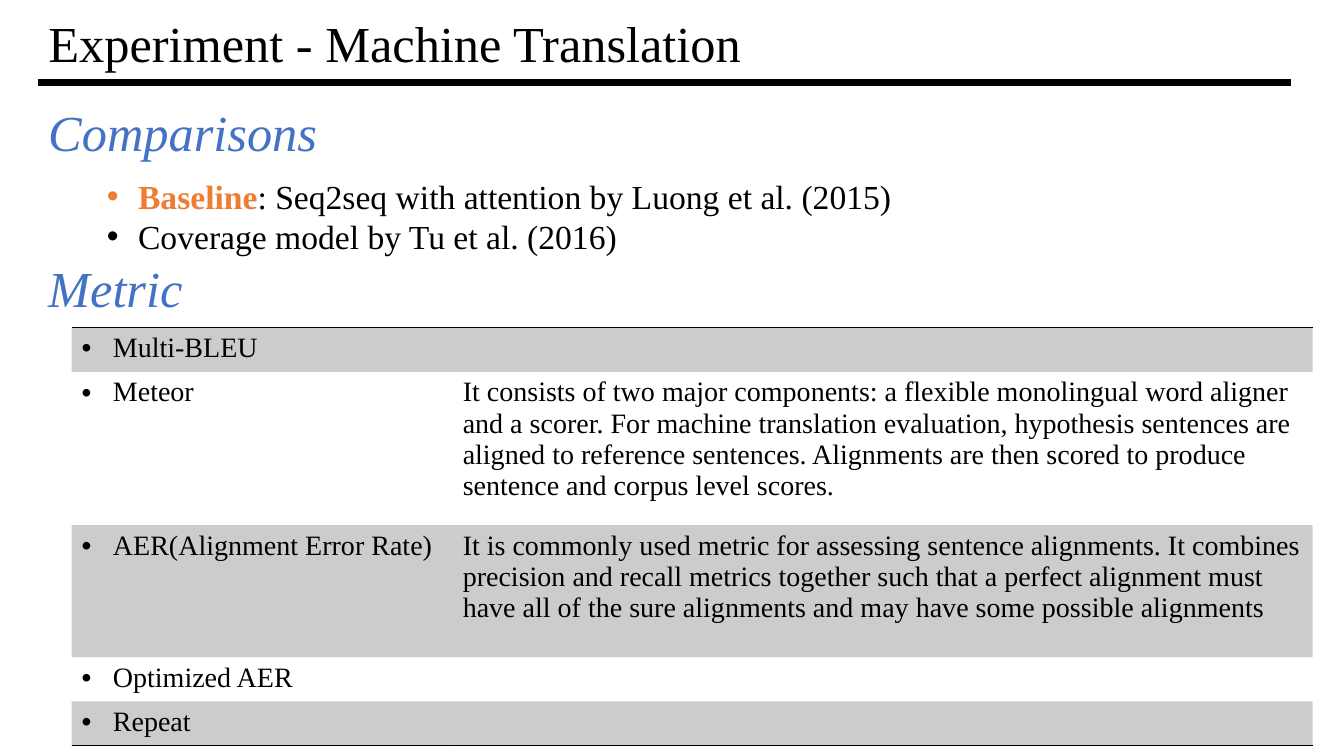
from dataclasses import dataclass

from lxml import etree
from pptx import Presentation
from pptx import util as u
from pptx.dml.color import RGBColor
from pptx.enum import shapes, text
from pptx.oxml import ns

FONT = "Times New Roman"
BLACK = RGBColor(0x00, 0x00, 0x00)
BLUE = RGBColor(0x44, 0x72, 0xC4)
ORANGE = RGBColor(0xED, 0x7D, 0x31)
NO_STYLE = "{2D5ABB26-0587-4C30-8999-92F81FD0307C}"
INDENT = u.Inches(0.31)


@dataclass
class Heading:
    text: str
    top: float
    width: float


@dataclass
class Row:
    height: float
    metric: str = ""
    description: str = ""
    shaded: bool = False
    ruled: bool = False


HEADINGS = [Heading("Metric", 2.5, 1.55), Heading("Comparisons", 0.95, 2.89)]
COLUMNS = [3.78, 8.53]
ROWS = [
    Row(0.44, ruled=True),
    Row(0.44, "Multi-BLEU", shaded=True),
    Row(1.52, "Meteor",
        "It consists of two major components: a flexible monolingual word aligner and a scorer. "
        "For machine translation evaluation, hypothesis sentences are aligned to reference "
        "sentences. Alignments are then scored to produce sentence and corpus level scores."),
    Row(1.31, "AER(Alignment Error Rate)",
        "It is commonly used metric for assessing sentence alignments. It combines precision "
        "and recall metrics together such that a perfect alignment must have all of the sure "
        "alignments and may have some possible alignments", shaded=True),
    Row(0.44, "Optimized AER"),
    Row(0.44, "Repeat", shaded=True, ruled=True),
]


def place(sp, left: float, top: float, width: float, height: float) -> None:
    sp.left, sp.top = u.Inches(left), u.Inches(top)
    sp.width, sp.height = u.Inches(width), u.Inches(height)


def add_run(p, words: str, size: float, color: RGBColor = BLACK,
            bold: bool = False, italic: bool = False) -> None:
    r = p.add_run()
    r.text = words
    f = r.font
    f.name, f.size, f.bold, f.italic = FONT, u.Pt(size), bold, italic
    f.color.rgb = color


def add_bullet(p) -> None:
    pPr = p._p.get_or_add_pPr()
    pPr.set("marL", str(INDENT))
    pPr.set("indent", str(-INDENT))
    etree.SubElement(pPr, ns.qn("a:buFont")).set("typeface", "Arial")
    etree.SubElement(pPr, ns.qn("a:buChar")).set("char", "•")


def shade(cell) -> None:
    """Fill the cell with black at 20 % opacity."""
    cell.fill.solid()
    cell.fill.fore_color.rgb = BLACK
    color = cell._tc.tcPr.find(".//" + ns.qn("a:srgbClr"))
    etree.SubElement(color, ns.qn("a:alpha")).set("val", "20000")


def rule_below(cell) -> None:
    line = etree.Element(ns.qn("a:lnB"), w=str(u.Pt(1)))
    fill = etree.SubElement(line, ns.qn("a:solidFill"))
    etree.SubElement(fill, ns.qn("a:srgbClr")).set("val", str(BLACK))
    cell._tc.get_or_add_tcPr().insert(0, line)


def add_title(s) -> None:
    sp = s.shapes.title
    place(sp, 0.38, 0.18, 8.74, 0.56)
    tf = sp.text_frame
    tf.vertical_anchor = text.MSO_ANCHOR.MIDDLE
    tf.auto_size = text.MSO_AUTO_SIZE.NONE
    p = tf.paragraphs[0]
    p.alignment = text.PP_ALIGN.LEFT
    p.line_spacing = 0.9
    add_run(p, "Experiment - Machine Translation", 36)

    y = u.Inches(0.82)
    line = s.shapes.add_connector(shapes.MSO_CONNECTOR.STRAIGHT,
                                  u.Inches(0.38), y, u.Inches(12.8), y)
    line.line.color.rgb = BLACK
    line.line.width = u.Pt(4.5)
    etree.SubElement(line._element.spPr, ns.qn("a:effectLst"))


def add_metrics(s) -> None:
    frame = s.shapes.add_table(len(ROWS), len(COLUMNS), u.Inches(0.71), u.Inches(2.81),
                               u.Inches(sum(COLUMNS)), u.Inches(sum(r.height for r in ROWS)))
    table = frame.table
    table.first_row = table.horz_banding = False
    table._tbl.tblPr.find(ns.qn("a:tableStyleId")).text = NO_STYLE
    for column, width in zip(table.columns, COLUMNS):
        column.width = u.Inches(width)
    for row, content in zip(table.rows, ROWS):
        row.height = u.Inches(content.height)
        for cell, words in zip(row.cells, (content.metric, content.description)):
            if content.shaded:
                shade(cell)
            else:
                cell.fill.background()
            if content.ruled:
                rule_below(cell)
            if words:
                add_run(cell.text_frame.paragraphs[0], words, 20)
        if content.metric:
            add_bullet(row.cells[0].text_frame.paragraphs[0])


def add_heading(s, heading: Heading) -> None:
    sp = s.shapes.add_textbox(0, 0, 0, 0)
    place(sp, 0.38, heading.top, heading.width, 1.25)
    sp.text_frame.word_wrap = False
    add_run(sp.text_frame.paragraphs[0], heading.text, 36, BLUE, italic=True)


def add_comparisons(s) -> None:
    sp = s.placeholders[1]
    place(sp, 0.96, 1.69, 8.14, 0.91)
    tf = sp.text_frame
    tf.auto_size = text.MSO_AUTO_SIZE.NONE
    baseline, coverage = tf.paragraphs[0], tf.add_paragraph()
    add_run(baseline, "Baseline", 24, ORANGE, bold=True)
    add_run(baseline, ": Seq2seq with attention by Luong et al. (2015)", 24)
    add_run(coverage, "Coverage model by Tu et al. (2016)", 24)
    for p in tf.paragraphs:
        p.space_before = u.Pt(0)
        add_bullet(p)


def main() -> None:
    prs = Presentation()
    prs.slide_width, prs.slide_height = u.Inches(13.33), u.Inches(7.5)
    s = prs.slides.add_slide(prs.slide_layouts[1])
    add_title(s)
    add_metrics(s)
    for heading in HEADINGS:
        add_heading(s, heading)
    add_comparisons(s)
    prs.save("out.pptx")


if __name__ == "__main__":
    main()
